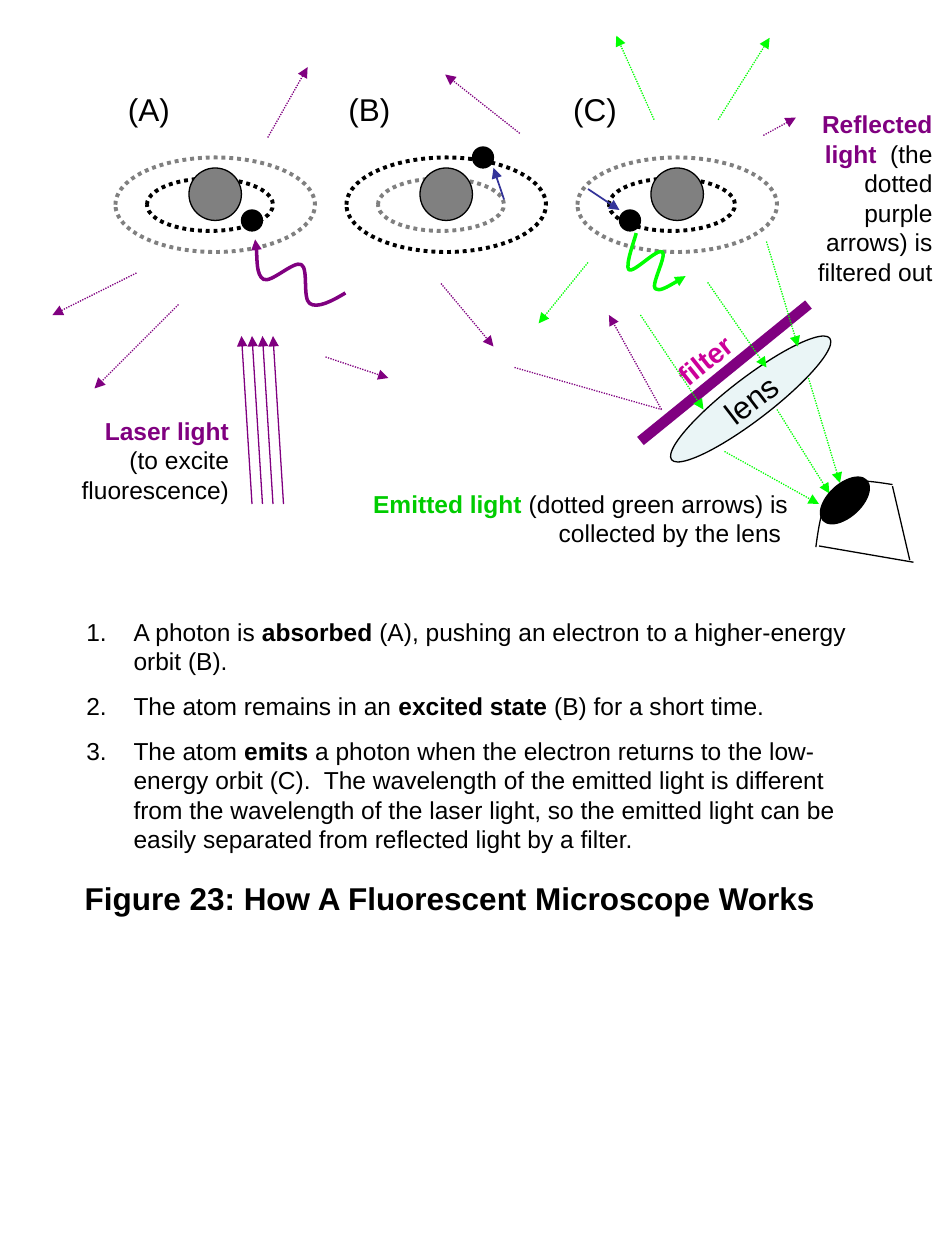
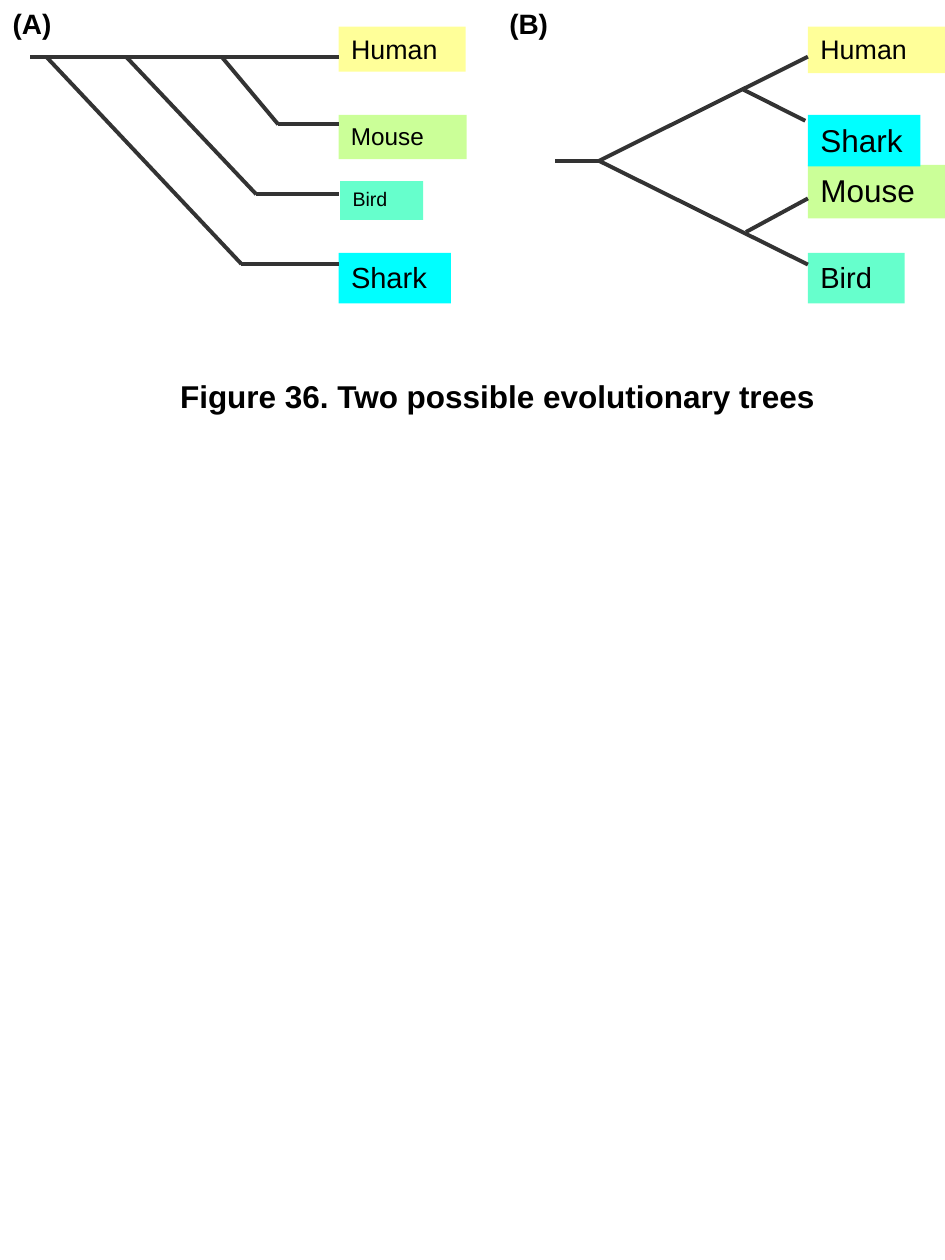
from dataclasses import dataclass

from lxml import etree
from pptx import Presentation
from pptx.dml.color import RGBColor
from pptx.enum.dml import MSO_LINE
from pptx.enum.shapes import MSO_CONNECTOR, MSO_SHAPE
from pptx.enum.text import MSO_ANCHOR, MSO_AUTO_SIZE, PP_ALIGN
from pptx.oxml.ns import qn
from pptx.slide import Slide
from pptx.util import Inches, Pt

OVAL, RECT = MSO_SHAPE.OVAL, MSO_SHAPE.RECTANGLE
STRAIGHT = MSO_CONNECTOR.STRAIGHT
DOTTED = MSO_LINE.ROUND_DOT
LEFT, CENTER, RIGHT = PP_ALIGN.LEFT, PP_ALIGN.CENTER, PP_ALIGN.RIGHT
TOP, MIDDLE = MSO_ANCHOR.TOP, MSO_ANCHOR.MIDDLE

FONT = "Arial"
COLORS = {
    "black": "000000", "gray": "808080", "laser": "800080", "emitted": "00FF00",
    "emitted_text": "00CC00", "filter_text": "CC0099", "jump": "333399",
    "lens": "BBE0E3", "branch": "333333", "Human": "FFFF99", "Mouse": "99FF33",
    "Bird": "66FFCC", "Shark": "00FFFF",
}
# The slide is a grid of 90 columns by 120 rows.
COLUMNS, ROWS = 90, 120
CELL = Inches(7.5) / COLUMNS


def grid(*cells):
    return [round(cell * CELL) for cell in cells]


def rgb(name):
    return RGBColor.from_string(COLORS[name])


def write(frame, paragraphs, size, align=LEFT, wrap=True, anchor=TOP):
    """Fill a frame; each paragraph is a list of (text, bold, color) runs."""
    frame.auto_size = MSO_AUTO_SIZE.NONE
    frame.word_wrap = wrap
    frame.vertical_anchor = anchor
    for index, pieces in enumerate(paragraphs):
        paragraph = frame.add_paragraph() if index else frame.paragraphs[0]
        paragraph.alignment = align
        for text, bold, color in pieces:
            run = paragraph.add_run()
            run.text = text
            run.font.name, run.font.size, run.font.bold = FONT, Pt(size), bold
            run.font.color.rgb = rgb(color)


def style_line(shape, color, width, dotted=False, arrow=False):
    shape.line.color.rgb = rgb(color)
    shape.line.width = Pt(width)
    if dotted:
        shape.line.dash_style = DOTTED
    if arrow:
        outline = shape.element.spPr.find(qn("a:ln"))
        etree.SubElement(outline, qn("a:tailEnd"), type="triangle")


def style_fill(shape, color, opacity=100):
    if color is None:
        shape.fill.background()
        return
    shape.fill.solid()
    shape.fill.fore_color.rgb = rgb(color)
    if opacity < 100:
        tint = shape.element.spPr.find(f".//{qn('a:srgbClr')}")
        etree.SubElement(tint, qn("a:alpha"), val=str(opacity * 1000))


def bend_segments(freeform):
    """Turn each three line segments into one cubic curve with those points."""
    segments = list(freeform.element.iter(qn("a:lnTo")))
    for first in range(0, len(segments), 3):
        bend = etree.Element(qn("a:cubicBezTo"))
        segments[first].addprevious(bend)
        for segment in segments[first:first + 3]:
            bend.append(segment[0])
            segment.getparent().remove(segment)


@dataclass
class Region:
    """Part of a slide; everything drawn in it is offset by its corner."""
    slide: Slide
    left: float = 0
    top: float = 0

    def box(self, x, y, width, height):
        return grid(self.left + x, self.top + y, width, height)

    def point(self, x, y):
        return grid(self.left + x, self.top + y)

    def line(self, start, end, color, width=0.75, dotted=False, arrow=False):
        connector = self.slide.shapes.add_connector(
            STRAIGHT, *self.point(*start), *self.point(*end))
        style_line(connector, color, width, dotted, arrow)
        etree.SubElement(connector.element.spPr, qn("a:effectLst"))

    def rays(self, color, ends):
        """Dotted light arrows from (x, y, x, y) tuples."""
        for ray in ends:
            self.line(ray[:2], ray[2:], color, dotted=True, arrow=True)

    def oval(self, box, fill=None, line="black", width=0.75, dotted=False,
             opacity=100, rotation=0):
        oval = self.slide.shapes.add_shape(OVAL, *self.box(*box))
        oval.shadow.inherit = False
        oval.rotation = rotation
        style_fill(oval, fill, opacity)
        style_line(oval, line, width, dotted)
        return oval

    def curve(self, controls, color, width, arrow=False):
        points = [self.point(*control) for control in controls]
        builder = self.slide.shapes.build_freeform(*points[0])
        builder.add_line_segments(points[1:], close=False)
        curve = builder.convert_to_shape()
        bend_segments(curve)
        curve.shadow.inherit = False
        style_fill(curve, None)
        style_line(curve, color, width, arrow=arrow)

    def text(self, box, paragraphs, size, align=LEFT, wrap=True, rotation=0):
        textbox = self.slide.shapes.add_textbox(*self.box(*box))
        textbox.rotation = rotation
        write(textbox.text_frame, paragraphs, size, align, wrap)
        return textbox.text_frame


def captioned_slide(deck, caption, box):
    slide = deck.slides.add_slide(deck.slide_layouts[5])
    title = slide.shapes.title
    title.left, title.top, title.width, title.height = grid(*box)
    write(title.text_frame, [[(caption, True, "black")]], 18, CENTER, wrap=False)
    return slide


def draw_atom(region, label, label_x, excited, electron):
    region.oval((3, 2, 12, 5), line="gray" if excited else "black", width=2.25, dotted=True)
    region.oval((7, 1, 5, 5), "gray")
    region.oval((0, 0, 19, 9), line="black" if excited else "gray", width=2.25, dotted=True)
    region.oval((*electron, 2, 2), "black")
    region.text((label_x, -7, 6.4, 4.8), [[(label, False, "black")]], 18, wrap=False)


def draw_atoms(slide):
    absorbing, excited, emitting = [Region(slide, 11 + 22 * i, 15) for i in range(3)]
    draw_atom(absorbing, "(A)", 0, False, (12, 5))
    absorbing.curve([(21.9, 12.9), (20.6, 13.7), (19.2, 14.4), (18.5, 13.9),
                     (17.8, 13.4), (18.4, 10.6), (17.7, 10.2),
                     (17, 9.8), (14.8, 12), (14.1, 11.6),
                     (13.4, 11.2), (13.5, 8.4), (13.3, 7.8)], "laser", 2, arrow=True)
    draw_atom(excited, "(B)", -1, True, (12, -1))
    excited.line((15, 4), (14, 1), "jump", 1, arrow=True)
    draw_atom(emitting, "(C)", -1.6, False, (4, 5))
    emitting.line((1, 3), (4, 5), "jump", 1, arrow=True)
    emitting.curve([(5.6, 7.2), (5.5, 7.7), (4.5, 10.3), (4.9, 10.7),
                    (5.4, 11), (7.6, 8.6), (8.1, 9),
                    (8.5, 9.4), (7, 12.1), (7.4, 12.5),
                    (7.8, 12.8), (9, 12.1), (10.3, 11.3)], "emitted", 2, arrow=True)


def draw_scattered_light(region):
    region.rays("laser", [
        (17, 29, 9, 37), (42, 27, 47, 33), (13, 26, 5, 30), (31, 34, 37, 36),
        (25.5, 13.1, 29.3, 6.4), (49.5, 12.7, 42.4, 7.1), (72.7, 12.9, 75.8, 11.2)])
    region.rays("emitted", [
        (56, 25, 51.3, 30.8), (68.4, 11.4, 73.3, 3.6), (62.3, 11.4, 58.7, 3.4)])
    region.text((76.2, 9.84, 13.8, 18), [[
        ("Reflected light", True, "laser"),
        ("  (the dotted purple arrows) is filtered out", False, "black")]], 14, RIGHT)
    region.text((32.25, 45.96, 44, 6.8), [[
        ("Emitted light", True, "emitted_text"),
        (" (dotted green arrows) is collected by the lens ", False, "black")]], 14, RIGHT)


def draw_laser(region):
    for beam in range(4):
        region.line((21 + beam, 16), (20 + beam, 0), "laser", arrow=True)
    region.text((0, 7.04, 20, 9.6), [[("Laser light", True, "laser")],
                                     [("(to excite fluorescence)", False, "black")]], 14, RIGHT)


def draw_optics(region):
    lens = region.oval((1, 7, 19, 4), "lens", opacity=30, rotation=322.5)
    write(lens.text_frame, [[("lens", False, "black")]], 18, CENTER, False, MIDDLE)
    region.line((0, 13), (16, 0), "laser", 6)
    region.text((2.05, 3.05, 8.2, 4.4), [[("filter", True, "filter_text")]], 16,
                wrap=False, rotation=321.2)
    region.line((-12, 6), (2, 10), "laser", dotted=True)
    region.rays("laser", [(2, 10, -3, 1)])
    region.rays("emitted", [
        (6.4, -2.1, 12, 6), (12, -6, 15, 4), (0, 1, 6, 10),
        (16, 7, 19, 17), (8, 14, 17, 19), (13, 10, 18, 18)])


def draw_eyepiece(region):
    region.curve([(0.7, 7.1), (1, 4.8), (1.4, 2.4), (2.6, 1.4),
                  (3.8, 0.5), (5.8, 0.8), (8, 1.15)], "black", 0.75)
    region.line((8, 1.3), (9.65, 8.35), "black")
    region.line((1, 7), (10, 8.55), "black")
    region.oval((0.65, 1.1, 5.64, 3.12), "black", rotation=317.5)


def draw_steps(region):
    steps = [
        ("A photon is ", "absorbed ",
         "(A), pushing an electron to a higher-energy orbit (B)."),
        ("The atom remains in an ", "excited state ", "(B) for a short time."),
        ("The atom ", "emits ",
         "a photon when the electron returns to the low-energy orbit (C).  The wavelength "
         "of the emitted light is different from the wavelength of the laser light, so the "
         "emitted light can be easily separated from reflected light by a filter."),
    ]
    frame = region.text((0, 0, 76.3, 23.8), [
        [(before, False, "black"), (key, True, "black"), (after, False, "black")]
        for before, key, after in steps], 14)
    for index, paragraph in enumerate(frame.paragraphs):
        paragraph.space_before = Pt(8.8 if index else 0)
        properties = paragraph._p.get_or_add_pPr()
        properties.set("marL", str(Pt(27)))
        properties.set("indent", str(-Pt(27)))
        etree.SubElement(properties, qn("a:buFont"), typeface=FONT)
        etree.SubElement(properties, qn("a:buAutoNum"), type="arabicPeriod")


def microscope_slide(deck):
    slide = captioned_slide(deck, "Figure 23: How A Fluorescent Microscope Works",
                            (6.75, 83.1, 72.2, 4.8))
    draw_atoms(slide)
    draw_optics(Region(slide, 61, 29))
    draw_scattered_light(Region(slide))
    draw_eyepiece(Region(slide, 77, 45))
    draw_laser(Region(slide, 3, 32))
    draw_steps(Region(slide, 7.04, 58.16))


def draw_tree(region, label, tips, branches):
    for animal, box, size in tips:
        tip = region.slide.shapes.add_shape(RECT, *region.box(*box))
        tip.shadow.inherit = False
        style_fill(tip, animal, 50 if animal == "Mouse" else 100)
        tip.line.fill.background()
        write(tip.text_frame, [[(animal, False, "black")]], size)
    for start, end in branches:
        region.line(start, end, "branch", 2.25)
    region.text((0, 0, 6.1, 4.4), [[(label, True, "black")]], 16, CENTER, wrap=False)


def draw_ladder_tree(region):
    tip_x, trunk_y = 32.25, 5.4
    branches = [((2.9, trunk_y), (tip_x, trunk_y))]
    for fork_x, elbow in [(21.1, (26.5, 11.85)), (12, (24.4, 18.5)), (4.4, (23, 25.15))]:
        branches += [((fork_x, trunk_y), elbow), (elbow, (tip_x, elbow[1]))]
    draw_tree(region, "(A)", [
        ("Shark", (tip_x, 24.1, 10.7, 4.8), 16.6),
        ("Bird", (tip_x + 0.15, 17.25, 7.9, 3.7), 11.2),
        ("Mouse", (tip_x, 10.95, 12.2, 4.2), 13.9),
        ("Human", (tip_x, 2.53, 12.1, 4.3), 15.3)], branches)


def draw_paired_tree(region):
    tip_x, fork = 29.65, (9.75, 15.32)
    draw_tree(region, "(B)", [
        ("Bird", (tip_x, 24.1, 9.2, 4.8), 16.6),
        ("Mouse", (tip_x, 15.7, 13.05, 5.1), 18),
        ("Shark", (tip_x, 10.95, 10.7, 4.9), 18),
        ("Human", (tip_x, 2.53, 13.05, 4.45), 15.3)],
        [((5.6, 15.32), fork), (fork, (tip_x, 5.4)), (fork, (tip_x, 25.2)),
         ((23.5, 8.55), (29.4, 11.5)), ((23.75, 22.1), (tip_x, 18.9))])


def trees_slide(deck):
    slide = captioned_slide(deck, "Figure 36. Two possible evolutionary trees",
                            (15.88, 35.3, 63, 4.8))
    draw_ladder_tree(Region(slide))
    draw_paired_tree(Region(slide, 47.3))


def main():
    deck = Presentation()
    deck.slide_width, deck.slide_height = grid(COLUMNS, ROWS)
    microscope_slide(deck)
    trees_slide(deck)
    deck.save("out.pptx")


if __name__ == "__main__":
    main()
